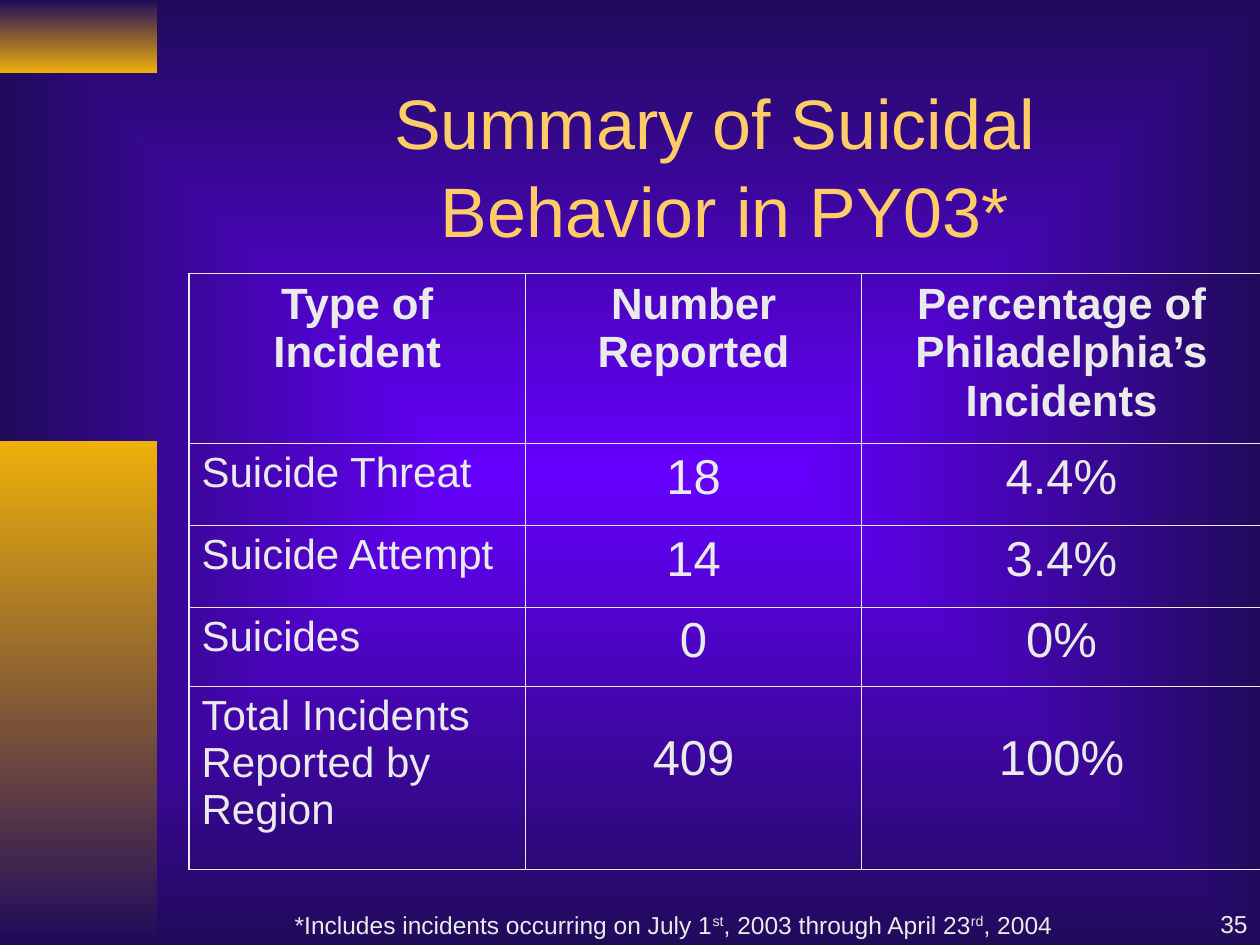
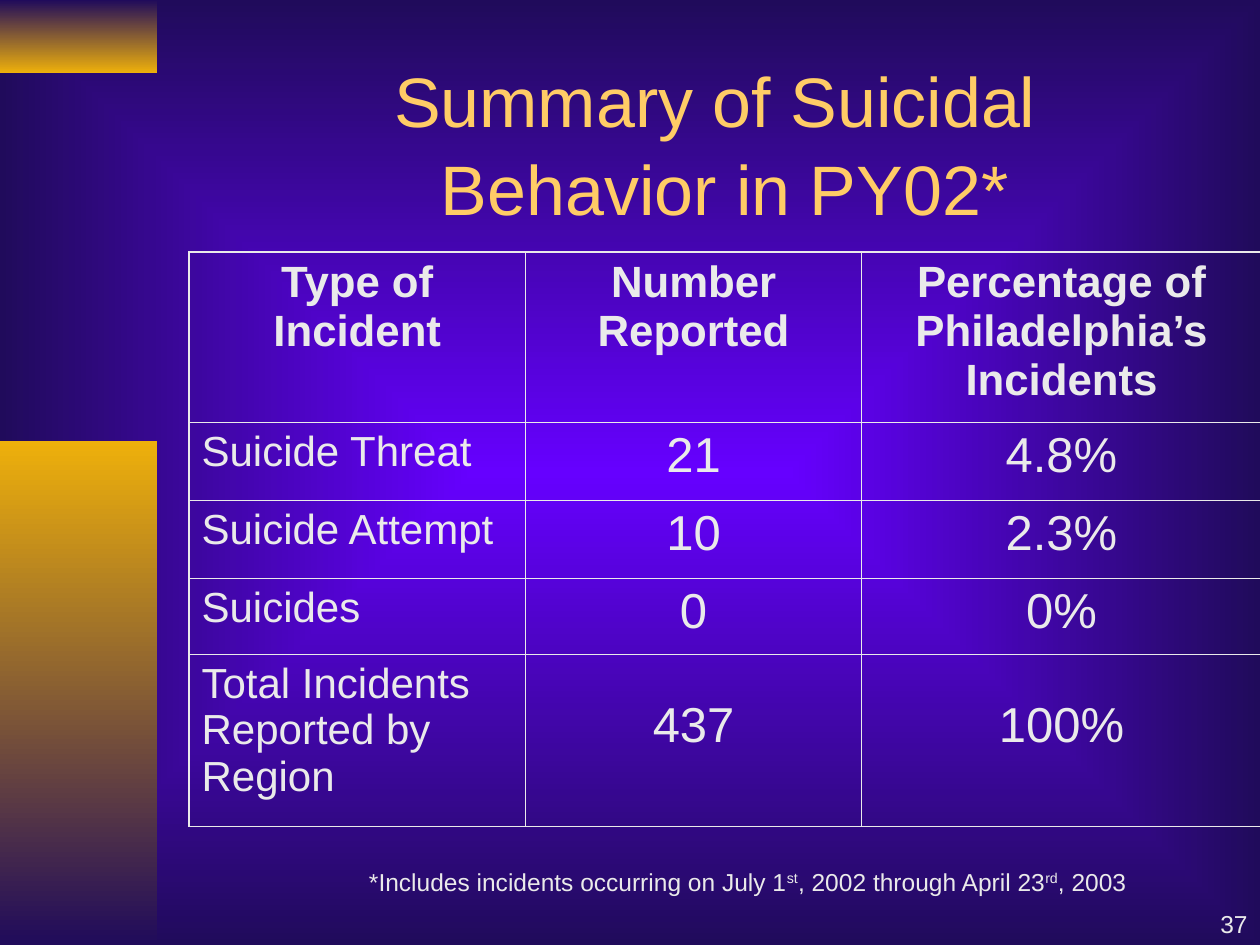
import pptx
import pptx.dml.color
import pptx.enum.shapes
import pptx.enum.text
import pptx.oxml
import pptx.oxml.ns
import pptx.util
from pptx.util import Inches

ALIGN = pptx.enum.text.PP_ALIGN
ANCHOR = pptx.enum.text.MSO_ANCHOR
FONT = "Arial"
COLORS = {
    "glow": "6600FF",
    "night": "200B5B",
    "gold": "EEB00B",
    "title": "FFCC66",
    "text": "EAEAEA",
}
COLUMN_WIDTHS = [2.67, 2.67, 3.17]
HEADINGS = ["Type of Incident", "Number Reported", "Percentage of Philadelphia’s Incidents"]
INCIDENTS = ["Suicide Threat", "Suicide Attempt", "Suicides", "Total Incidents Reported by Region"]
OUTER_LINE, INNER_LINE = 1.08, 0.45


def rgb(name):
    return pptx.dml.color.RGBColor.from_string(COLORS[name])


def write(tf, text, size=14, color="text", bold=False, align=ALIGN.LEFT,
          anchor=ANCHOR.TOP, spacing=None, wrap=True):
    tf.word_wrap = wrap
    tf.vertical_anchor = anchor
    for i, line in enumerate(text.split("\n")):
        p = tf.add_paragraph() if i else tf.paragraphs[0]
        p.alignment = align
        p.space_before = pptx.util.Pt(0)
        if spacing:
            p.line_spacing = spacing
        for j, piece in enumerate(line.split("^")):
            r = p.add_run()
            r.text = piece
            r.font.name = FONT
            r.font.size = pptx.util.Pt(size)
            r.font.bold = bold
            r.font.color.rgb = rgb(color)
            if j % 2:
                r._r.get_or_add_rPr().set("baseline", "30000")


def set_gradient(fill, start, end):
    fill.gradient()
    for stop, name, position in zip(fill.gradient_stops, (start, end), (0, 1)):
        stop.color.rgb = rgb(name)
        stop.position = position


def style_background(master):
    set_gradient(master.background.fill, "glow", "night")
    grad = master.element.xpath(".//p:bg//a:gradFill")[0]
    for lin in grad.xpath("./a:lin"):
        grad.remove(lin)
    ns = pptx.oxml.ns.nsdecls("a")
    grad.append(pptx.oxml.parse_xml(
        f'<a:path {ns} path="rect"><a:fillToRect l="50000" t="50000" r="50000" b="50000"/></a:path>'))


def add_bands(s, master):
    bands = [(0, 0.58, "night", "gold"), (3.5, 4, "gold", "night")]
    for i, (top, height, start, end) in enumerate(bands):
        band = s.shapes.add_shape(pptx.enum.shapes.MSO_SHAPE.RECTANGLE,
                                  0, Inches(top), Inches(1.25), Inches(height))
        band.shadow.inherit = False
        band.line.fill.background()
        set_gradient(band.fill, start, end)
        band.fill.gradient_angle = 270
        band.element.nvSpPr.cNvPr.set("id", str(100 + i))
        master.shapes.element.insert(2 + i, band.element)


def add_title(s, text, left, top, width, height):
    title = s.shapes.title
    title.left, title.top = Inches(left), Inches(top)
    title.width, title.height = Inches(width), Inches(height)
    title.text_frame.auto_size = pptx.enum.text.MSO_AUTO_SIZE.NONE
    write(title.text_frame, text, size=40, color="title", align=ALIGN.CENTER,
          anchor=ANCHOR.MIDDLE, spacing=1.05)


def set_borders(cell, outer_sides):
    tcPr = cell._tc.get_or_add_tcPr()
    for i, side in enumerate("LRTB"):
        width = pptx.util.Pt(OUTER_LINE if side in outer_sides else INNER_LINE)
        tcPr.insert(i, pptx.oxml.parse_xml(
            f'<a:ln{side} {pptx.oxml.ns.nsdecls("a")} w="{width}"><a:solidFill>'
            f'<a:srgbClr val="{COLORS["text"]}"/></a:solidFill></a:ln{side}>'))


def add_incident_table(s, figures, row_heights, left, top):
    rows = [HEADINGS] + [[name, *pair] for name, pair in zip(INCIDENTS, figures)]
    last_row, last_col = len(rows) - 1, len(HEADINGS) - 1
    table = s.shapes.add_table(len(rows), len(HEADINGS), Inches(left), Inches(top),
                               Inches(sum(COLUMN_WIDTHS)), Inches(sum(row_heights))).table
    table.first_row = table.horz_banding = False
    for column, width in zip(table.columns, COLUMN_WIDTHS):
        column.width = Inches(width)
    for i, (values, height) in enumerate(zip(rows, row_heights)):
        table.rows[i].height = Inches(height)
        for j, value in enumerate(values):
            cell = table.cell(i, j)
            cell.fill.background()
            edges = {"L": j == 0, "R": j == last_col, "T": i == 0, "B": i == last_row}
            set_borders(cell, [side for side, outer in edges.items() if outer])
            if i == 0:
                look = dict(size=25, bold=True, align=ALIGN.CENTER)
            elif j == 0:
                look = dict(size=24)
            else:
                look = dict(size=28, align=ALIGN.CENTER, spacing=1.7 if i == last_row else None)
            write(cell.text_frame, value, **look)


def add_label(s, text, left, top, width, height, **look):
    box = s.shapes.add_textbox(Inches(left), Inches(top), Inches(width), Inches(height))
    write(box.text_frame, text, **look)


def add_summary_slide(prs, year, top, figures, row_heights, period, note_at, number):
    s = prs.slides.add_slide(prs.slide_layouts[5])
    add_title(s, f"Summary of Suicidal \nBehavior in {year}*", 1.5, top, 8.5, 1.25)
    add_incident_table(s, figures, row_heights, 1.5, top + 1.5)
    start, end = period
    add_label(s, f"*Includes incidents occurring on July 1^st^, {start} through April 23^rd^, {end}",
              *note_at, 6.22, 0.34, wrap=False)
    add_label(s, number, 7.92, 7, 2.08, 0.5, align=ALIGN.RIGHT, anchor=ANCHOR.BOTTOM)
    return s


def main():
    prs = pptx.Presentation()
    prs.slide_width, prs.slide_height = Inches(10), Inches(7.5)
    style_background(prs.slide_master)
    s = add_summary_slide(
        prs, "PY03", 0.67,
        [("18", "4.4%"), ("14", "3.4%"), ("0", "0%"), ("409", "100%")],
        [1.35, 0.65, 0.65, 0.63, 1.45], (2003, 2004), (2.24, 7.17), "35")
    add_bands(s, prs.slide_master)
    add_summary_slide(
        prs, "PY02", 0.5,
        [("21", "4.8%"), ("10", "2.3%"), ("0", "0%"), ("437", "100%")],
        [1.35, 0.62, 0.62, 0.6, 1.37], (2002, 2003), (2.83, 6.83), "37")
    prs.save("out.pptx")


if __name__ == "__main__":
    main()
